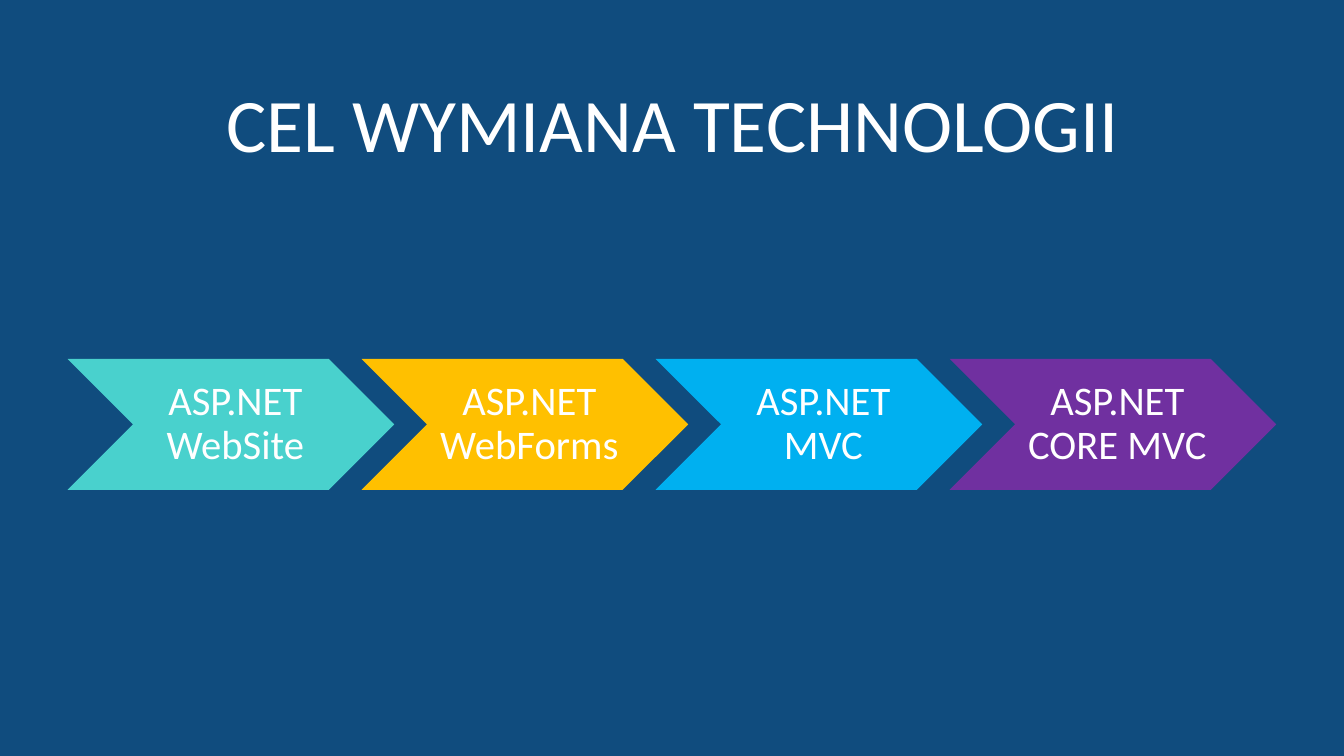
from pptx import Presentation
from pptx.dml.color import RGBColor
from pptx.enum import shapes, text
from pptx.util import Inches, Pt

FONT = "Calibri"
WHITE = "FFFFFF"
STEPS = [
    ("ASP.NET WebSite", "49D1CD"),
    ("ASP.NET WebForms", "FFC000"),
    ("ASP.NET MVC", "00B0F0"),
    ("ASP.NET CORE MVC", "7030A0"),
]
STEP_LEFT, STEP_TOP = 0.67, 3.56
STEP_WIDTH, STEP_HEIGHT = 3.24, 1.3
STEP_PITCH = 0.9 * STEP_WIDTH


def paint(fill, color):
    fill.solid()
    fill.fore_color.rgb = RGBColor.from_string(color)


def write(frame, words, size):
    frame.word_wrap = True
    frame.vertical_anchor = text.MSO_ANCHOR.MIDDLE
    para = frame.paragraphs[0]
    para.alignment = text.PP_ALIGN.CENTER
    span = para.add_run()
    span.text = words
    span.font.name = FONT
    span.font.size = Pt(size)
    paint(span.font.fill, WHITE)
    return para


def add_title(page, words):
    box = page.shapes.add_textbox(Inches(1.13), Inches(0.42), Inches(11.08), Inches(1.59))
    write(box.text_frame, words, 54)


def add_step(page, left, words, color):
    step = page.shapes.add_shape(
        shapes.MSO_SHAPE.CHEVRON,
        Inches(left), Inches(STEP_TOP), Inches(STEP_WIDTH), Inches(STEP_HEIGHT),
    )
    step.shadow.inherit = False
    paint(step.fill, color)
    step.line.fill.background()
    frame = step.text_frame
    frame.margin_left, frame.margin_right = Inches(0.11), Inches(0.02)
    frame.margin_top = frame.margin_bottom = Inches(0.04)
    write(frame, words, 29).line_spacing = 0.9


def main():
    deck = Presentation()
    deck.slide_width, deck.slide_height = Inches(13.33), Inches(7.5)
    page = deck.slides.add_slide(deck.slide_layouts[6])
    paint(page.background.fill, "104C7E")
    add_title(page, "CEL WYMIANA TECHNOLOGII")
    for index, (words, color) in enumerate(STEPS):
        add_step(page, STEP_LEFT + index * STEP_PITCH, words, color)
    deck.save("out.pptx")


if __name__ == "__main__":
    main()
